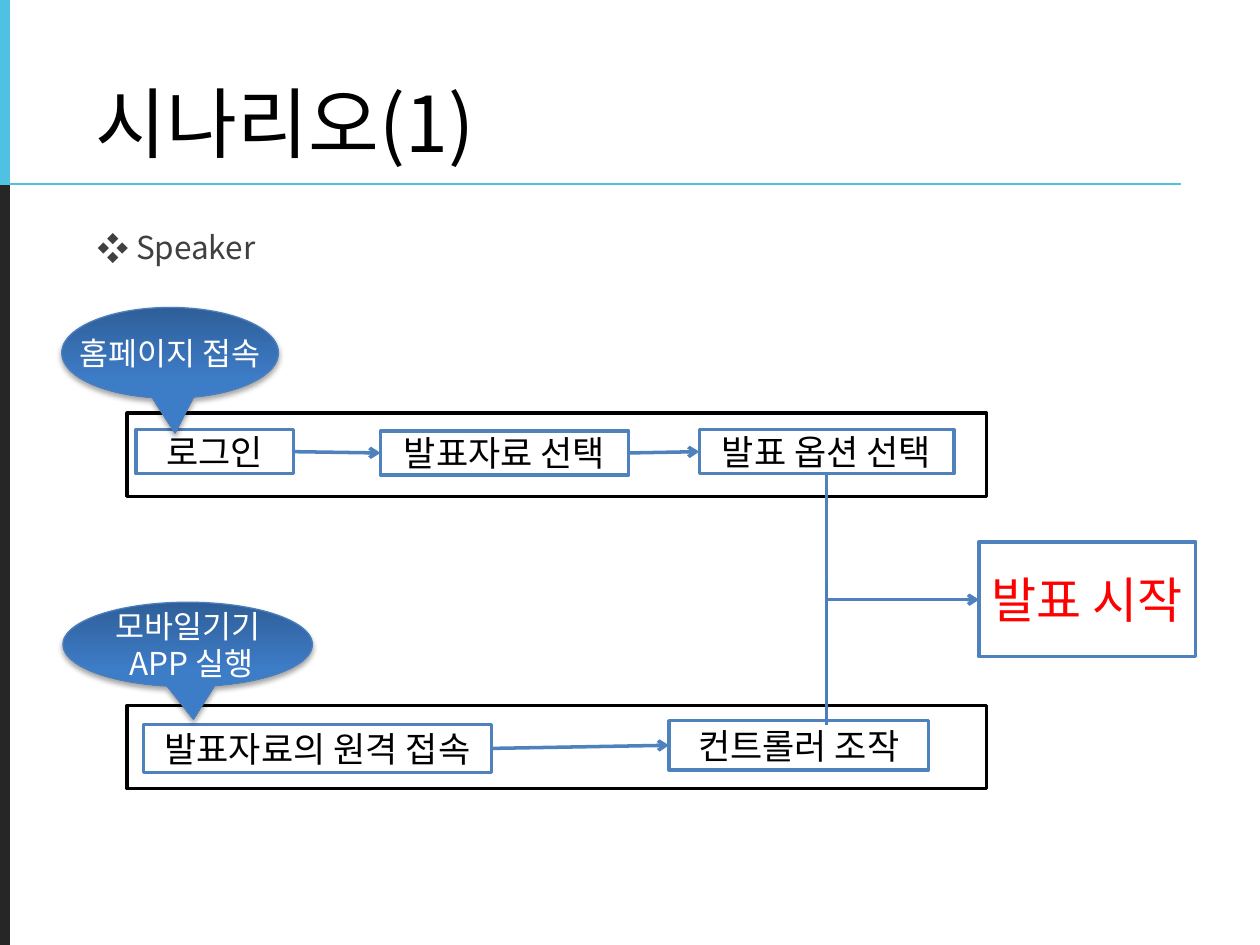
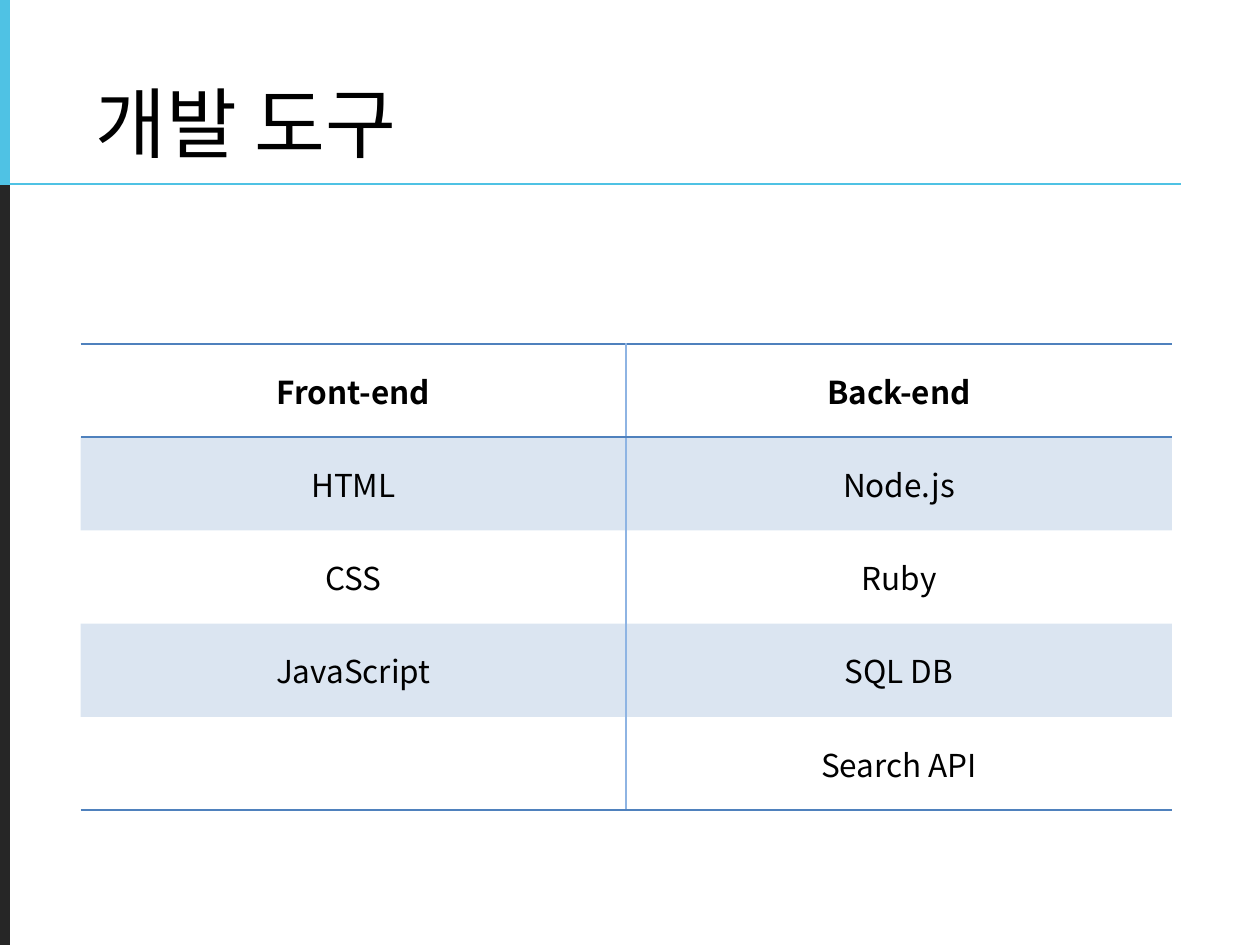
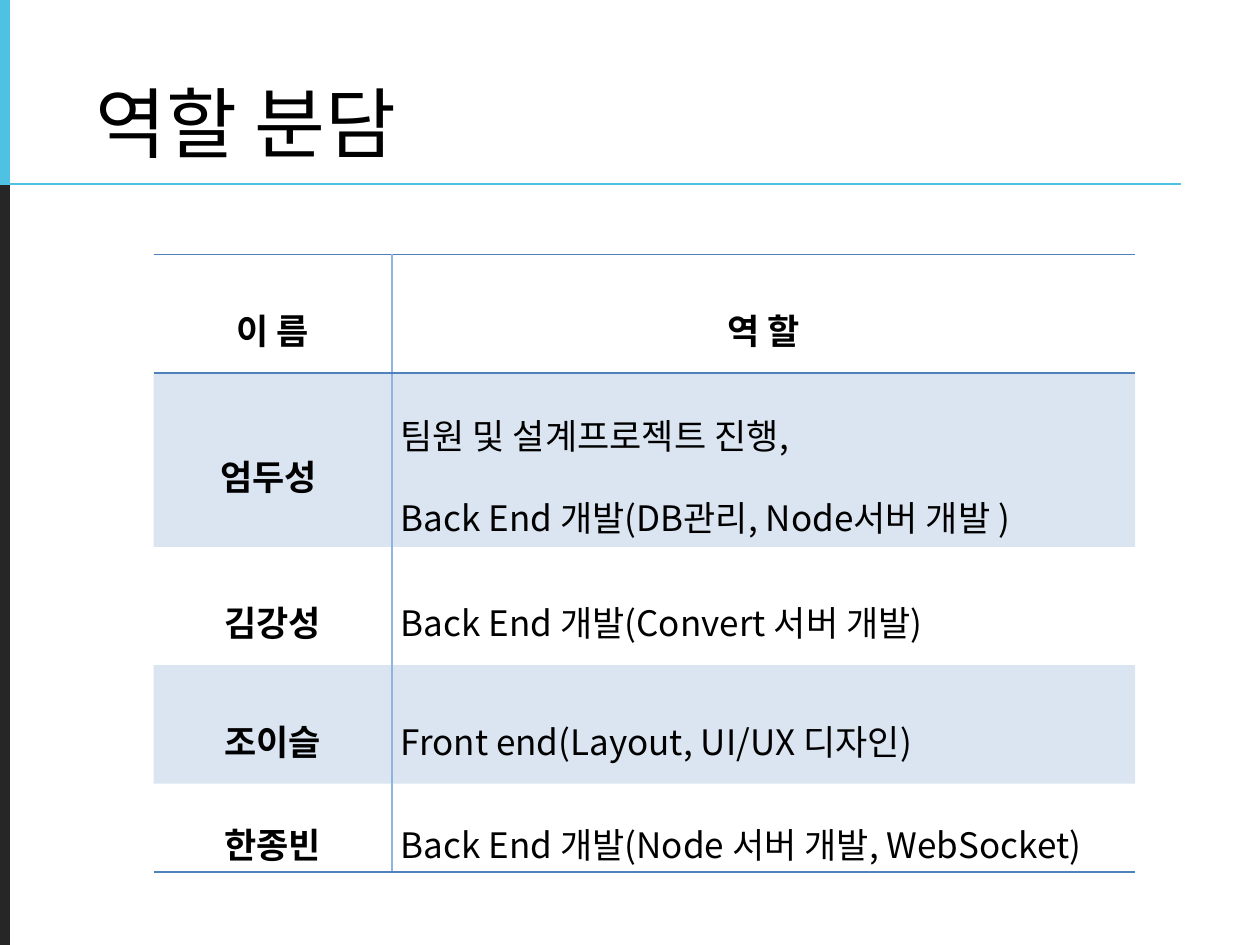
import pptx
import pptx.dml.color
import pptx.enum.dml
import pptx.enum.shapes
import pptx.enum.text
import pptx.oxml.ns
import pptx.util
from lxml import etree

SHAPE = pptx.enum.shapes.MSO_SHAPE
LINE = pptx.enum.shapes.MSO_CONNECTOR
ALIGN = pptx.enum.text.PP_ALIGN
ANCHOR = pptx.enum.text.MSO_ANCHOR
qn = pptx.oxml.ns.qn

COLS, ROWS = 100, 75
FONT = "Noto Sans CJK KR"
SKY, DARK, BLUE, RIM, PALE = "4FC2E4", "262626", "4F81BD", "4B7EBC", "8EB4E3"
BLACK, WHITE, GREY, RED = "000000", "FFFFFF", "404040", "FF0000"
NO_STYLE = "{2D5ABB26-0587-4C30-8999-92F81FD0307C}"


def rgb(color):
    return pptx.dml.color.RGBColor.from_string(color)


def sub(parent, tag, **attrs):
    """Append a DrawingML element."""
    el = etree.SubElement(parent, qn(f"a:{tag}"))
    for key, value in attrs.items():
        el.set(key, str(value))
    return el


def write(tf, text, size=18, color=BLACK, bold=False, align=ALIGN.LEFT,
          anchor=ANCHOR.MIDDLE, wrap=True, spacing=None, before=None):
    """Fill a text frame, one paragraph for each line of text."""
    tf.word_wrap = wrap
    tf.vertical_anchor = anchor
    for i, words in enumerate(text.split("\n")):
        p = tf.add_paragraph() if i else tf.paragraphs[0]
        p.alignment, p.line_spacing, p.space_before = align, spacing, before
        r = p.add_run()
        r.text = words
        r.font.name, r.font.bold = FONT, bold
        r.font.size = pptx.util.Pt(size)
        r.font.color.rgb = rgb(color)
        sub(r.font._element, "ea", typeface=FONT)


class Deck:
    def __init__(self):
        self.prs = pptx.Presentation()
        self.prs.slide_width = pptx.util.Inches(10)
        self.prs.slide_height = pptx.util.Inches(7.5)
        self.s = None

    def x(self, cols):
        return round(self.prs.slide_width * cols / COLS)

    def y(self, rows):
        return round(self.prs.slide_height * rows / ROWS)

    def box(self, x, y, w, h):
        return self.x(x), self.y(y), self.x(w), self.y(h)

    def place(self, sp, *box):
        sp.left, sp.top, sp.width, sp.height = self.box(*box)

    def slide(self, title, layout=5):
        self.s = self.prs.slides.add_slide(self.prs.slide_layouts[layout])
        self.line(0.4, 0, 0.4, 14.7, SKY, 6)
        self.line(0.4, 14.7, 0.4, ROWS, DARK, 6)
        self.line(0, 14.6, 93.7, 14.6, SKY, 1.5)
        sp = self.s.shapes.title
        self.place(sp, 6.6, 1.3, 86.7, 12.5)
        sp.text_frame.auto_size = pptx.enum.text.MSO_AUTO_SIZE.NONE
        write(sp.text_frame, title, size=44, anchor=ANCHOR.BOTTOM)

    def bullets(self, text):
        sp = self.s.placeholders[1]
        self.place(sp, 6.7, 17, 86.6, 49.5)
        write(sp.text_frame, text, color=GREY, anchor=ANCHOR.TOP,
              spacing=1.2, before=pptx.util.Pt(3.6))
        for p in sp.text_frame.paragraphs:
            pPr = p._p.get_or_add_pPr()
            pPr.set("marL", str(self.x(3.1)))
            pPr.set("indent", str(-self.x(3.1)))
            sub(pPr, "buFont", typeface=FONT)
            sub(pPr, "buChar", char="❖")

    def line(self, x1, y1, x2, y2, color=BLUE, width=2, arrow=False, kind=LINE.STRAIGHT):
        c = self.s.shapes.add_connector(kind, self.x(x1), self.y(y1), self.x(x2), self.y(y2))
        c.line.color.rgb = rgb(color)
        c.line.width = pptx.util.Pt(width)
        if arrow:
            sub(c.line._get_or_add_ln(), "tailEnd", type="arrow")
        sub(c._element.spPr, "effectLst")
        return c

    def link(self, start, end):
        """Arrow from the right side of one box to the left side of the next."""
        c = self.line(0, 0, 0, 0, arrow=True)
        c.begin_connect(start, 3)
        c.end_connect(end, 1)

    def elbow(self, x1, y1, x2, y2):
        """Arrow that goes down, then right: a flipped bend turned by 270 degrees."""
        mid_x, mid_y = (x1 + x2) / 2, (y1 + y2) / 2
        half_w, half_h = (y2 - y1) / 2, (x2 - x1) / 2
        c = self.line(mid_x + half_w, mid_y - half_h, mid_x - half_w, mid_y + half_h,
                      arrow=True, kind=LINE.ELBOW)
        spPr = c._element.spPr
        spPr.find(qn("a:xfrm")).set("rot", str(270 * 60000))
        spPr.find(qn("a:prstGeom")).set("prst", "bentConnector2")

    def shape(self, kind, box, line, width, text="", **fmt):
        sp = self.s.shapes.add_shape(kind, *self.box(*box))
        sp.shadow.inherit = False
        sp.fill.solid()
        sp.fill.fore_color.rgb = rgb(WHITE)
        sp.line.color.rgb = rgb(line)
        sp.line.width = pptx.util.Pt(width)
        if text:
            write(sp.text_frame, text, align=ALIGN.CENTER, wrap=False, **fmt)
        return sp

    def frame(self, *box):
        self.shape(SHAPE.RECTANGLE, box, BLACK, 2)

    def step(self, text, *box, size=20, color=BLACK):
        return self.shape(SHAPE.RECTANGLE, box, BLUE, 2, text, size=size, color=color)

    def callout(self, text, *box):
        sp = self.shape(SHAPE.OVAL_CALLOUT, box, RIM, 0.75, text, color=WHITE)
        sp.adjustments[0], sp.adjustments[1] = 0.023, 0.885
        sp.fill.gradient()
        sp.fill.gradient_angle = 270
        for stop, position, color in zip(sp.fill.gradient_stops, (0, 0.8), ("2F5F99", "3D7CC7")):
            stop.position = position
            stop.color.rgb = rgb(color)
        effects = sp._element.spPr.find(qn("a:effectLst"))
        shadow = sub(effects, "outerShdw", blurRad=pptx.util.Pt(3.1),
                     dist=pptx.util.Pt(1.8), dir=90 * 60000, rotWithShape=0)
        sub(sub(shadow, "srgbClr", val=BLACK), "alpha", val=35000)

    def border(self, cell, side, color):
        ln = sub(cell._tc.get_or_add_tcPr(), f"ln{side}", w=pptx.util.Pt(1))
        sub(sub(ln, "solidFill"), "srgbClr", val=color)

    def table(self, x, y, widths, heights, rows, margins=None, bold_cols=(),
              body_align=ALIGN.CENTER, **fmt):
        """Ruled table with a header row and tinted odd rows."""
        box = self.box(x, y, sum(widths), sum(heights))
        tbl = self.s.shapes.add_table(len(rows), len(widths), *box).table
        tbl.first_row = tbl.horz_banding = False
        tbl._tbl.tblPr.find(qn("a:tableStyleId")).text = NO_STYLE
        for col, width in zip(tbl.columns, widths):
            col.width = self.x(width)
        for i, (row, height) in enumerate(zip(rows, heights)):
            tbl.rows[i].height = self.y(height)
            for j, text in enumerate(row):
                cell = tbl.cell(i, j)
                self.border(cell, "L" if j else "R", PALE)
                if i == 0:
                    self.border(cell, "T", BLUE)
                if i in (0, len(rows) - 1):
                    self.border(cell, "B", BLUE)
                if i % 2:
                    cell.fill.solid()
                    cell.fill.fore_color.rgb = rgb(BLUE)
                    tint = cell._tc.tcPr.find(qn("a:solidFill"))
                    sub(tint[0], "alpha", val=20000)
                else:
                    cell.fill.background()
                cell.vertical_anchor = ANCHOR.MIDDLE
                if margins:
                    cell.margin_left = cell.margin_right = self.x(margins[0])
                    cell.margin_top = cell.margin_bottom = self.y(margins[1])
                if text:
                    head = i == 0 or j in bold_cols
                    write(cell.text_frame, text, bold=head,
                          align=ALIGN.CENTER if head else body_align, **fmt)


def scenario(d):
    d.slide("시나리오(1)", layout=1)
    d.bullets("Speaker")
    for top in (56, 32.8):
        d.frame(10.1, top, 68.2, 6.6)
    login = d.step("로그인", 10.8, 34.1, 12.5, 3.5)
    material = d.step("발표자료 선택", 30.2, 34.2, 19.7, 3.5)
    options = d.step("발표 옵션 선택", 55.5, 34.1, 20.2, 3.5)
    remote = d.step("발표자료의 원격 접속", 11.4, 57.5, 27.6, 3.8)
    control = d.step("컨트롤러 조작", 53.1, 57.2, 20.6, 3.9)
    for start, end in ((login, material), (material, options), (remote, control)):
        d.link(start, end)
    d.elbow(65.6, 37.6, 77.7, 47.6)
    d.callout("홈페이지 접속", 4.9, 24.4, 17.2, 7.2)
    d.callout("모바일기기\n APP 실행", 5, 47.8, 19.8, 6.7)
    d.step("발표 시작", 77.7, 43, 17.2, 9.1, size=28, color=RED)
    d.line(65.6, 46.1, 65.6, 57.5, RIM)


def tools(d):
    d.slide("개발 도구")
    d.table(6.4, 27.3, [43.3] * 2, [7.4] * 5, [
        ("Front-end", "Back-end"),
        ("HTML", "Node.js"),
        ("CSS", "Ruby"),
        ("JavaScript", "SQL DB"),
        ("", "Search API"),
    ])


def roles(d):
    d.slide("역할 분담")
    d.table(12.2, 20.2, [18.9, 59], [9.4, 13.8, 9.4, 9.4, 7], [
        ("이 름", "역 할"),
        ("엄두성 ", "팀원 및 설계프로젝트 진행, \nBack End 개발(DB관리, Node서버 개발 )"),
        ("김강성", "Back End 개발(Convert 서버 개발)"),
        ("조이슬", "Front end(Layout, UI/UX 디자인)"),
        ("한종빈", "Back End 개발(Node 서버 개발, WebSocket)"),
    ], margins=(0.7, 0.2), bold_cols=(0,), body_align=ALIGN.JUSTIFY, size=20, spacing=1.6)


def main():
    d = Deck()
    for build in (scenario, tools, roles):
        build(d)
    d.prs.save("out.pptx")


if __name__ == "__main__":
    main()
